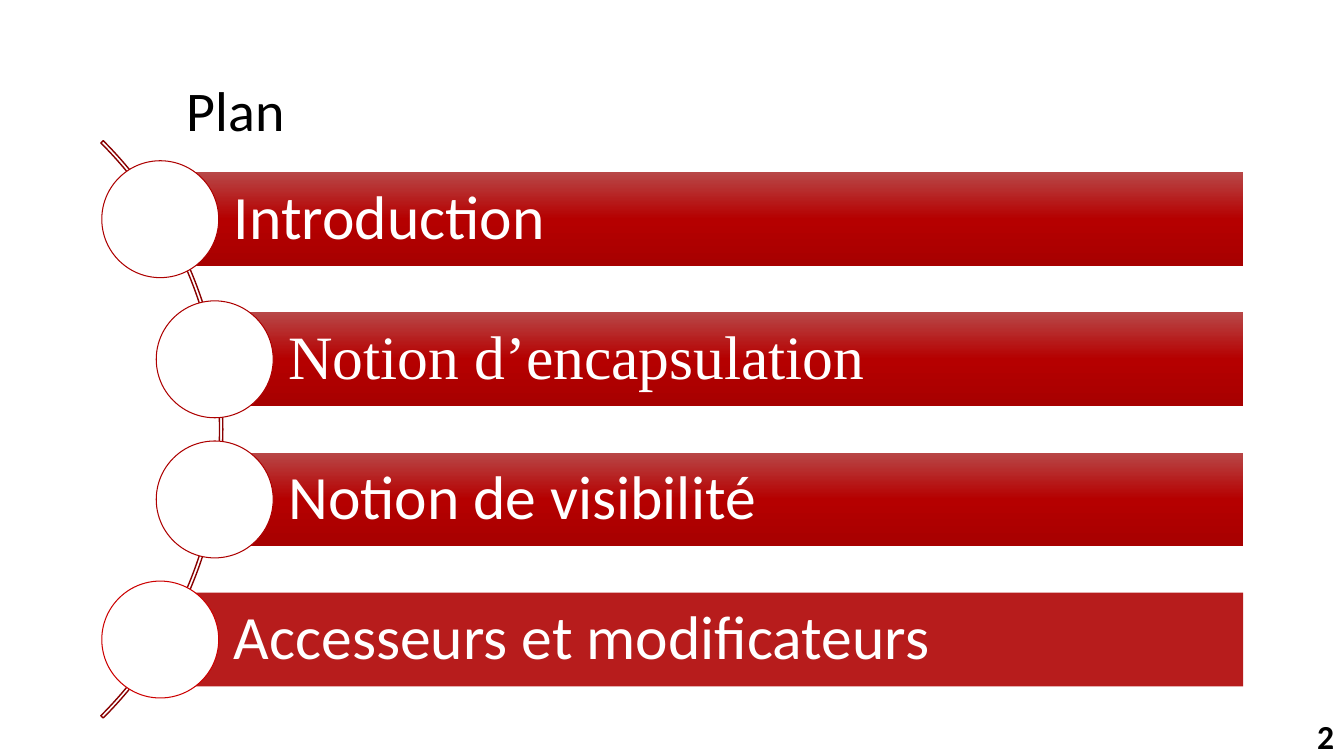
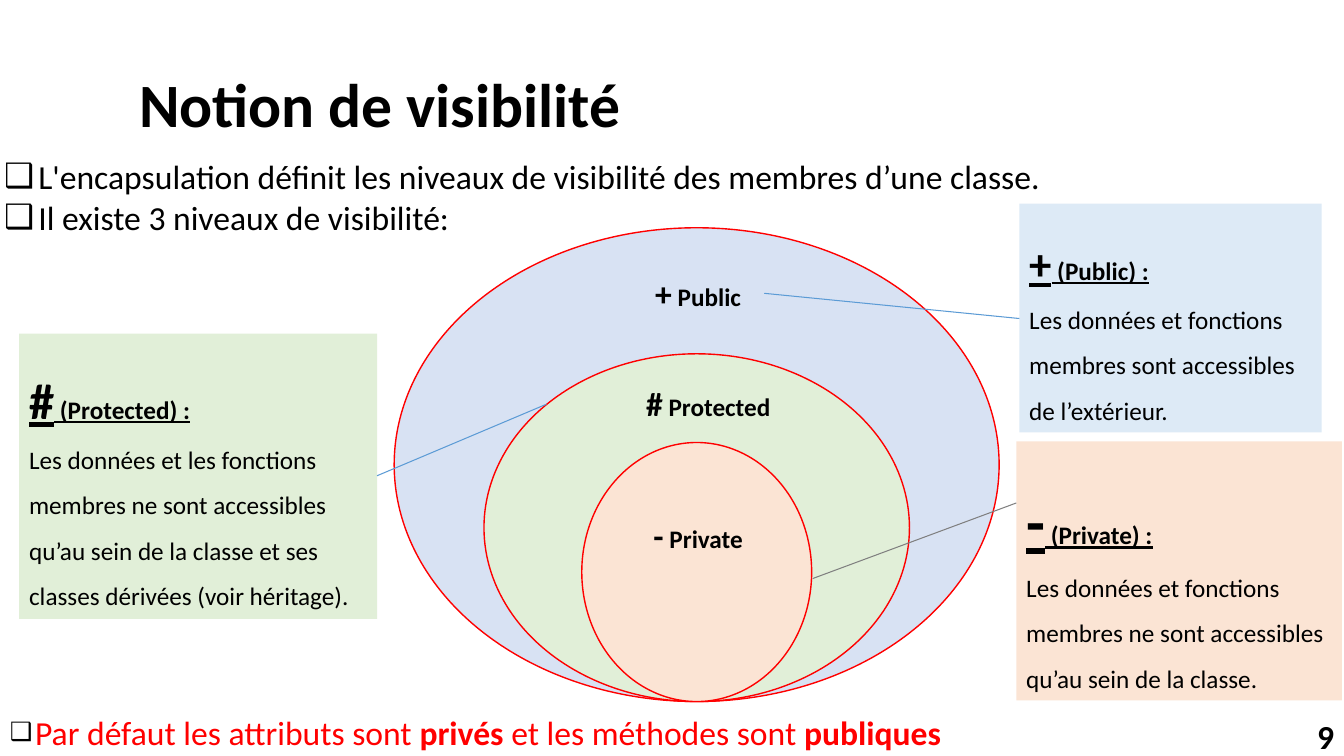
from dataclasses import dataclass

from lxml import etree
from pptx import Presentation
from pptx.dml.color import RGBColor
from pptx.enum.shapes import MSO_CONNECTOR, MSO_SHAPE
from pptx.enum.text import MSO_ANCHOR, MSO_AUTO_SIZE, PP_ALIGN
from pptx.oxml.ns import qn
from pptx.util import Inches, Pt

LEFT, CENTER, RIGHT = PP_ALIGN.LEFT, PP_ALIGN.CENTER, PP_ALIGN.RIGHT
TOP, MIDDLE = MSO_ANCHOR.TOP, MSO_ANCHOR.MIDDLE
NO_FIT = MSO_AUTO_SIZE.NONE
STRAIGHT = MSO_CONNECTOR.STRAIGHT
RECTANGLE, OVAL = MSO_SHAPE.RECTANGLE, MSO_SHAPE.OVAL
ARC, RING = MSO_SHAPE.BLOCK_ARC, MSO_SHAPE.FLOWCHART_CONNECTOR
LAYOUT_TITLE_CONTENT, LAYOUT_TITLE_ONLY = 1, 5


@dataclass(frozen=True)
class Theme:
    """Colours, fonts and type sizes shared by the slides."""

    font: str = "Calibri"
    serif: str = "Times New Roman"
    black: str = "000000"
    white: str = "FFFFFF"
    red: str = "FF0000"
    arc: str = "890000"
    circle: str = "AD0000"
    last_circle: str = "CC0000"
    last_bar: str = "B71C1C"
    bar_stops: tuple = ((0, "B84747"), (50, "B50000"), (100, "A70000"))
    public: str = "D8E2F3"
    public_note: str = "DDEAF6"
    protected: str = "E1EFD8"
    private: str = "FBE4D4"
    blue_line: str = "5B9BD5"
    gray_line: str = "7F7F7F"
    heading: int = 44
    heading_small: int = 40
    body: int = 24
    small: int = 18


THEME = Theme()


@dataclass(frozen=True)
class Piece:
    """A stretch of text with one format."""

    text: str
    size: int = THEME.body
    color: str = THEME.black
    bold: bool = False
    underline: bool = False
    font: str = THEME.font


@dataclass(frozen=True)
class Level:
    """A visibility level with its ellipse, label, note and link."""

    symbol: str
    name: str
    shape: int
    size: tuple
    color: str
    label: tuple
    note: tuple
    note_color: str
    symbol_size: int
    rule: str
    link: tuple
    link_color: str


LEVELS = (
    Level("+", "Public", RING, (6, 4.7), THEME.public, (6.26, 2.66, 1.33, 0.5),
          (10.11, 2.02, 3, 2.27), THEME.public_note, 32,
          "Les données et fonctions membres sont accessibles de l’extérieur.",
          (7.58, 2.91, 10.11, 3.16), THEME.blue_line),
    Level("#", "Protected", RING, (4.22, 3.45), THEME.protected, (6.26, 3.75, 1.53, 0.5),
          (0.19, 3.31, 3.55, 2.83), THEME.protected, 36,
          "Les données et les fonctions membres ne sont accessibles qu’au sein "
          "de la classe et ses classes dérivées (voir héritage).",
          (5.42, 4.01, 3.74, 4.72), THEME.blue_line),
    Level("-", "Private", OVAL, (2.28, 2.57), THEME.private, (6.26, 5.06, 1.33, 0.5),
          (10.08, 4.38, 3.23, 2.57), THEME.private, 44,
          "Les données et fonctions membres ne sont accessibles qu’au sein de la classe.",
          (10.08, 4.99, 8.06, 5.74), THEME.gray_line),
)


def rgb(color):
    """Return the colour object for a hexadecimal string."""
    return RGBColor.from_string(color)


def inches(values):
    """Convert several numbers to lengths."""
    return [Inches(value) for value in values]


def write(paragraph, pieces, align=LEFT, spacing=1.0):
    """Fill a paragraph with formatted pieces."""
    paragraph.alignment = align
    paragraph.line_spacing = spacing
    paragraph.space_before = paragraph.space_after = Pt(0)
    for piece in pieces:
        run = paragraph.add_run()
        run.text = piece.text
        run.font.name = piece.font
        run.font.size = Pt(piece.size)
        run.font.bold = piece.bold
        run.font.underline = piece.underline
        run.font.color.rgb = rgb(piece.color)


def fill_text(shape, paragraphs, align=LEFT, spacing=1.0, anchor=TOP,
              margins=(0.1, 0.05, 0.1, 0.05)):
    """Set a shape's frame and write its paragraphs."""
    frame = shape.text_frame
    frame.word_wrap = True
    frame.auto_size = NO_FIT
    frame.vertical_anchor = anchor
    (frame.margin_left, frame.margin_top,
     frame.margin_right, frame.margin_bottom) = inches(margins)
    for index, pieces in enumerate(paragraphs):
        paragraph = frame.add_paragraph() if index else frame.paragraphs[0]
        write(paragraph, pieces, align, spacing)


def add_text(slide, box, pieces, **options):
    """Add a text box holding one paragraph."""
    shape = slide.shapes.add_textbox(*inches(box))
    fill_text(shape, [pieces], **options)
    return shape


def move(shape, box):
    """Place a shape in a box."""
    shape.left, shape.top, shape.width, shape.height = inches(box)


def add_figure(slide, kind, box, fill=None, line=None, width=1):
    """Add a preset shape with a plain fill and outline."""
    shape = slide.shapes.add_shape(kind, *inches(box))
    shape.shadow.inherit = False
    if fill:
        shape.fill.solid()
        shape.fill.fore_color.rgb = rgb(fill)
    else:
        shape.fill.background()
    if line:
        shape.line.color.rgb = rgb(line)
        shape.line.width = Pt(width)
    else:
        shape.line.fill.background()
    return shape


def set_gradient(shape, stops):
    """Give a shape a gradient running from top to bottom."""
    shape.fill.gradient()
    shape.fill.gradient_angle = 270
    stop_list = shape._element.spPr.find(qn("a:gradFill")).find(qn("a:gsLst"))
    stop_list.clear()
    for position, color in stops:
        stop = etree.SubElement(stop_list, qn("a:gs"), pos=str(position * 1000))
        etree.SubElement(stop, qn("a:srgbClr"), val=color)


def set_bullets(shape, indent, percent=100):
    """Give each paragraph a black box bullet with a hanging indent."""
    for paragraph in shape.text_frame.paragraphs:
        properties = paragraph._p.get_or_add_pPr()
        properties.set("marL", str(Inches(indent)))
        properties.set("indent", str(-Inches(indent)))
        color = etree.SubElement(properties, qn("a:buClr"))
        etree.SubElement(color, qn("a:srgbClr"), val=THEME.black)
        etree.SubElement(properties, qn("a:buSzPct"), val=str(percent * 1000))
        etree.SubElement(properties, qn("a:buFont"), typeface=THEME.font)
        etree.SubElement(properties, qn("a:buChar"), char="❑")


def add_link(slide, ends, color):
    """Add a thin straight line between two points."""
    link = slide.shapes.add_connector(STRAIGHT, *inches(ends))
    link.line.color.rgb = rgb(color)
    link.line.width = Pt(0.75)
    etree.SubElement(link._element.spPr, qn("a:effectLst"))


def add_slide(presentation, layout, title, box, number):
    """Add a slide with its title and page number."""
    slide = presentation.slides.add_slide(presentation.slide_layouts[layout])
    move(slide.shapes.title, box)
    fill_text(slide.shapes.title, [[title]], spacing=0.9, anchor=MIDDLE,
              margins=(0.93, 0.05, 0.1, 0.05))
    add_text(slide, (10.33, 7.1, 3, 0.4), [Piece(number, bold=True)],
             align=RIGHT, anchor=MIDDLE)
    return slide


def add_agenda(slide, box, entries):
    """Draw agenda bars whose circles follow an arc, within a box."""
    left, top, width, height = box
    pitch, bar_height, diameter, arc_size = 1.39, 0.93, 1.16, 8.1
    middle = top + height / 2
    arc = add_figure(slide, ARC, (left - 7.48, middle - arc_size / 2, arc_size, arc_size),
                     line=THEME.arc)
    for index, value in enumerate((189, 27, 0.004)):
        arc.adjustments[index] = value
    last = len(entries) - 1
    for index, (text, font) in enumerate(entries):
        indent = 0 if index in (0, last) else 0.54
        bar_left, bar_top = left + indent, top + index * pitch
        bar = add_figure(slide, RECTANGLE, (bar_left, bar_top, width - indent, bar_height),
                         THEME.last_bar)
        if index < last:
            set_gradient(bar, THEME.bar_stops)
        fill_text(bar, [[Piece(text, THEME.heading, THEME.white, font=font)]],
                  spacing=0.9, anchor=MIDDLE, margins=(0.73, 0.12, 0.12, 0.12))
        add_figure(slide, OVAL,
                   (bar_left - diameter / 2, bar_top + (bar_height - diameter) / 2,
                    diameter, diameter),
                   THEME.white, THEME.circle if index < last else THEME.last_circle, 0.75)


def add_ellipses(slide, center, bottom):
    """Draw the nested ellipses resting on one bottom point."""
    for level in LEVELS:
        width, height = level.size
        add_figure(slide, level.shape, (center - width / 2, bottom - height, width, height),
                   level.color, THEME.red)


def add_level_text(slide, level):
    """Add a level's label, its note and the line joining them."""
    add_text(slide, level.label,
             [Piece(level.symbol, bold=True), Piece(f" {level.name}", THEME.small, bold=True)],
             align=CENTER)
    note = add_figure(slide, RECTANGLE, level.note, level.note_color)
    heading = [Piece(level.symbol, level.symbol_size, bold=True, underline=True),
               Piece(f" ({level.name}) :", THEME.small, bold=True, underline=True)]
    fill_text(note, [heading, [Piece(level.rule, THEME.small)]], spacing=1.5)
    add_link(slide, level.link, level.link_color)


def build_plan(presentation):
    """Build the agenda slide."""
    slide = add_slide(presentation, LAYOUT_TITLE_ONLY, Piece("Plan", THEME.heading_small),
                      (0.92, 0.4, 11.5, 1.45), "2")
    add_agenda(slide, (1.59, 1.71, 10.74, 5.1), (
        ("Introduction", THEME.font),
        ("Notion d’encapsulation", THEME.serif),
        ("Notion de visibilité", THEME.font),
        ("Accesseurs et modificateurs", THEME.font),
    ))


def build_visibility(presentation):
    """Build the slide on the visibility levels."""
    slide = add_slide(presentation, LAYOUT_TITLE_CONTENT,
                      Piece("Notion de visibilité", THEME.heading, bold=True),
                      (0.45, 0.34, 11.5, 1.45), "9")
    body = slide.placeholders[1]
    move(body, (-0.06, 1.5, 13.93, 0.91))
    fill_text(body, [
        [Piece("L'encapsulation définit les niveaux de visibilité des membres d’une classe.")],
        [Piece("Il existe 3 niveaux de visibilité:")],
    ])
    set_bullets(body, 0.34)
    add_ellipses(slide, 6.91, 6.96)
    for level in LEVELS:
        add_level_text(slide, level)
    remark = add_text(slide, (0, 7.01, 14.26, 0.5), [
        Piece("Par défaut les attributs sont ", color=THEME.red),
        Piece("privés ", color=THEME.red, bold=True),
        Piece("et les méthodes sont ", color=THEME.red),
        Piece("publiques", color=THEME.red, bold=True),
    ])
    set_bullets(remark, 0.25, 75)


def main():
    """Build and save the presentation."""
    presentation = Presentation()
    presentation.slide_width, presentation.slide_height = inches((13.33, 7.5))
    build_plan(presentation)
    build_visibility(presentation)
    presentation.save("out.pptx")


if __name__ == "__main__":
    main()
